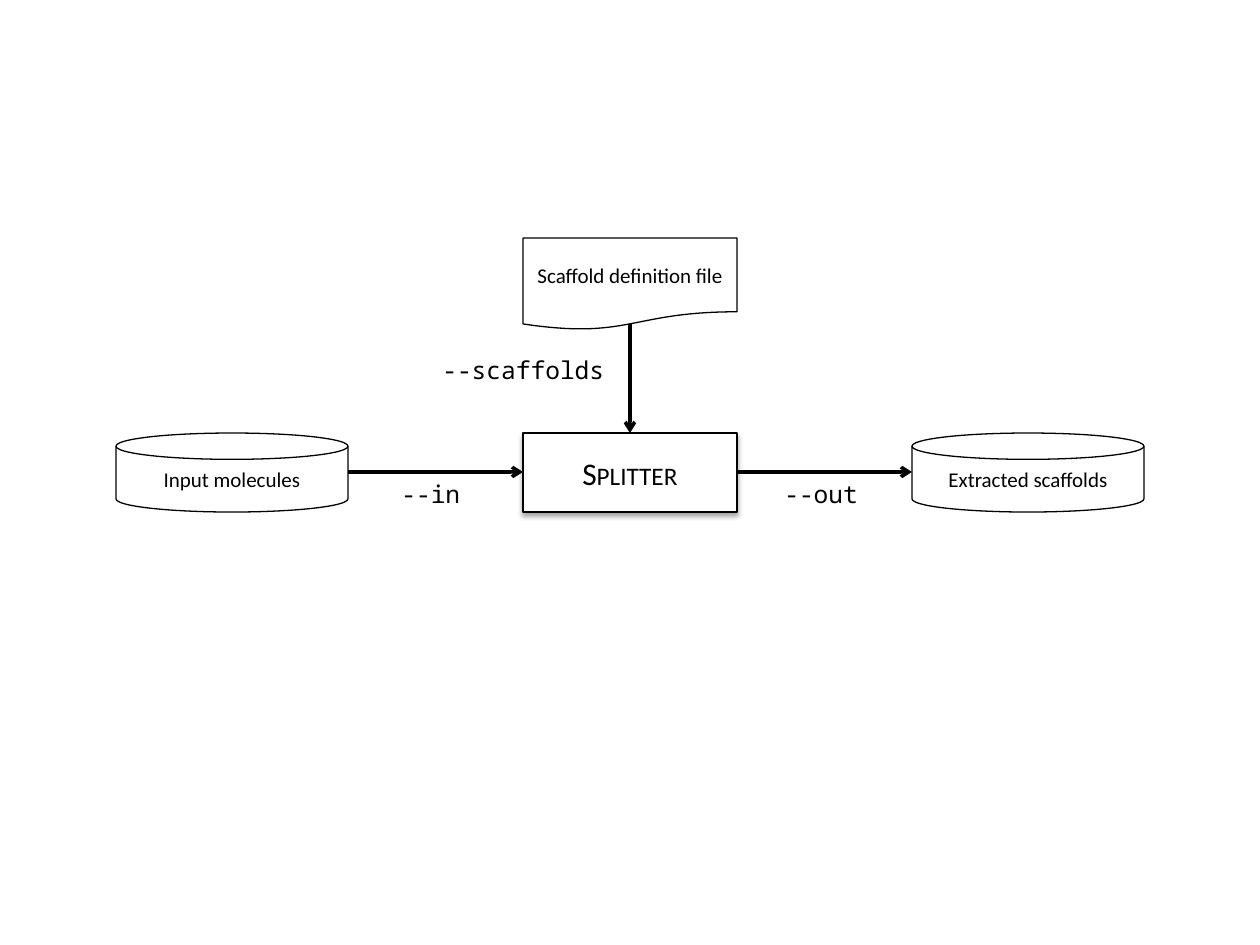
from lxml.etree import SubElement
from pptx import Presentation
from pptx.dml.color import RGBColor
from pptx.enum.shapes import MSO_CONNECTOR, MSO_SHAPE
from pptx.enum.text import MSO_ANCHOR, MSO_AUTO_SIZE, PP_ALIGN
from pptx.oxml.ns import qn
from pptx.util import Emu, Pt

BLACK = RGBColor(0, 0, 0)
WHITE = RGBColor(255, 255, 255)
PIXEL = 914400 // 126
WIDTH, HEIGHT = 1260, 945
CENTER = WIDTH // 2
ROW_TOP, ROW_HEIGHT = 433, 79
ROW_MIDDLE = ROW_TOP + ROW_HEIGHT // 2
DISK_WIDTH, BOX_WIDTH = 232, 214
DISK_OFFSET = 398  # distance between the centers of a disk and the program
BOX_LEFT = CENTER - BOX_WIDTH // 2
BOX_RIGHT = BOX_LEFT + BOX_WIDTH
INPUT_RIGHT = CENTER - DISK_OFFSET + DISK_WIDTH // 2
OUTPUT_LEFT = CENTER + DISK_OFFSET - DISK_WIDTH // 2
PROGRAM = "Splitter"

# text, preset, center x, top, width, height, fill, font size
NODES = [
    ("Input molecules", MSO_SHAPE.FLOWCHART_MAGNETIC_DISK,
     CENTER - DISK_OFFSET, ROW_TOP, DISK_WIDTH, ROW_HEIGHT, None, 12),
    ("Extracted scaffolds", MSO_SHAPE.FLOWCHART_MAGNETIC_DISK,
     CENTER + DISK_OFFSET, ROW_TOP, DISK_WIDTH, ROW_HEIGHT, None, 12),
    (PROGRAM, MSO_SHAPE.FLOWCHART_PROCESS,
     CENTER, ROW_TOP, BOX_WIDTH, ROW_HEIGHT, WHITE, 18),
    ("Scaffold definition file", MSO_SHAPE.FLOWCHART_DOCUMENT,
     CENTER, 238, BOX_WIDTH, 92, WHITE, 12),
]
# start x, start y, end x, end y
ARROWS = [
    (INPUT_RIGHT, ROW_MIDDLE, BOX_LEFT, ROW_MIDDLE),
    (BOX_RIGHT, ROW_MIDDLE, OUTPUT_LEFT, ROW_MIDDLE),
    (CENTER, 324, CENTER, ROW_TOP),
]
# text, left, top, width
LABELS = [("--in", 389, 473, 86), ("--out", 772, 473, 100), ("--scaffolds", 430, 349, 189)]
LABEL_HEIGHT = 43


def pixels(*lengths):
    """Turn pixel lengths into EMU."""
    return [Emu(length * PIXEL) for length in lengths]


def write(shape, text, font_name, size):
    """Put one line of black text into a shape and return its paragraph."""
    paragraph = shape.text_frame.paragraphs[0]
    paragraph.text = text
    paragraph.font.name = font_name
    paragraph.font.size = Pt(size)
    paragraph.font.color.rgb = BLACK
    return paragraph


def add_node(slide, text, preset, center, top, width, height, fill, size):
    """Draw one outlined flowchart node with centred text."""
    shape = slide.shapes.add_shape(preset, *pixels(center - width // 2, top, width, height))
    shape.shadow.inherit = False
    if fill is None:
        shape.fill.background()
    else:
        shape.fill.solid()
        shape.fill.fore_color.rgb = fill
    shape.line.color.rgb = BLACK
    shape.line.width = Pt(0.75)
    shape.text_frame.word_wrap = True
    shape.text_frame.vertical_anchor = MSO_ANCHOR.MIDDLE
    write(shape, text, "Calibri", size).alignment = PP_ALIGN.CENTER
    return shape


def emphasize(shape):
    """Give the program node small capitals and a soft shadow below."""
    run = shape.text_frame.paragraphs[0].runs[0]
    run.font._element.set("cap", "small")
    effects = shape._element.spPr.find(qn("a:effectLst"))
    shadow = SubElement(effects, qn("a:outerShdw"), blurRad=str(Pt(3.1)),
                        dist=str(Pt(1.8)), dir="5400000", rotWithShape="0")
    color = SubElement(shadow, qn("a:srgbClr"), val=str(BLACK))
    SubElement(color, qn("a:alpha"), val="35000")


def add_arrow(slide, *ends):
    """Draw a straight black arrow without a shadow."""
    arrow = slide.shapes.add_connector(MSO_CONNECTOR.STRAIGHT, *pixels(*ends))
    arrow.line.color.rgb = BLACK
    arrow.line.width = Pt(2)
    SubElement(arrow.line._get_or_add_ln(), qn("a:tailEnd"), type="arrow")
    SubElement(arrow._element.spPr, qn("a:effectLst"))


def add_label(slide, text, left, top, width):
    """Write one command-line option beside its arrow."""
    box = slide.shapes.add_textbox(*pixels(left, top, width, LABEL_HEIGHT))
    box.text_frame.word_wrap = False
    box.text_frame.auto_size = MSO_AUTO_SIZE.SHAPE_TO_FIT_TEXT
    write(box, text, "Noto Sans Mono", 14)


presentation = Presentation()
presentation.slide_width, presentation.slide_height = pixels(WIDTH, HEIGHT)
slide = presentation.slides.add_slide(presentation.slide_layouts[6])
nodes = {node[0]: add_node(slide, *node) for node in NODES}
emphasize(nodes[PROGRAM])
for arrow_ends in ARROWS:
    add_arrow(slide, *arrow_ends)
for label in LABELS:
    add_label(slide, *label)
presentation.save("out.pptx")
